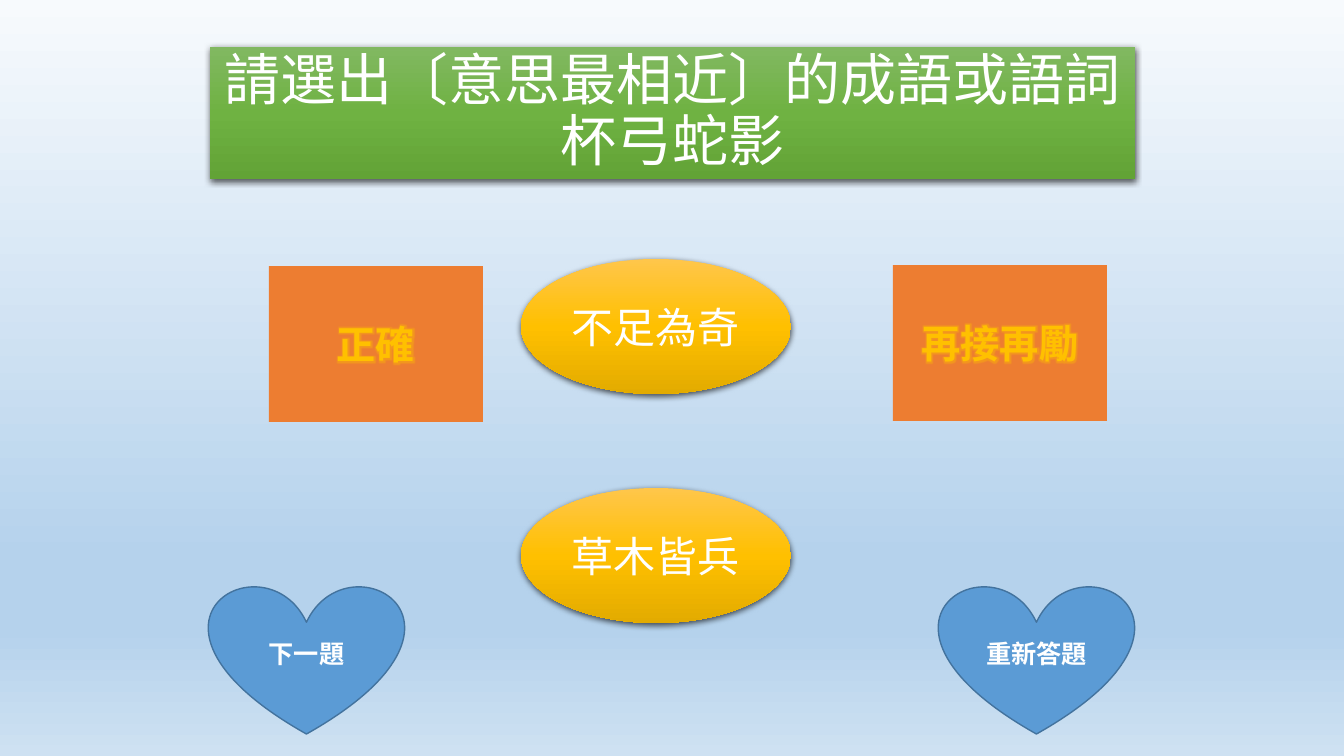
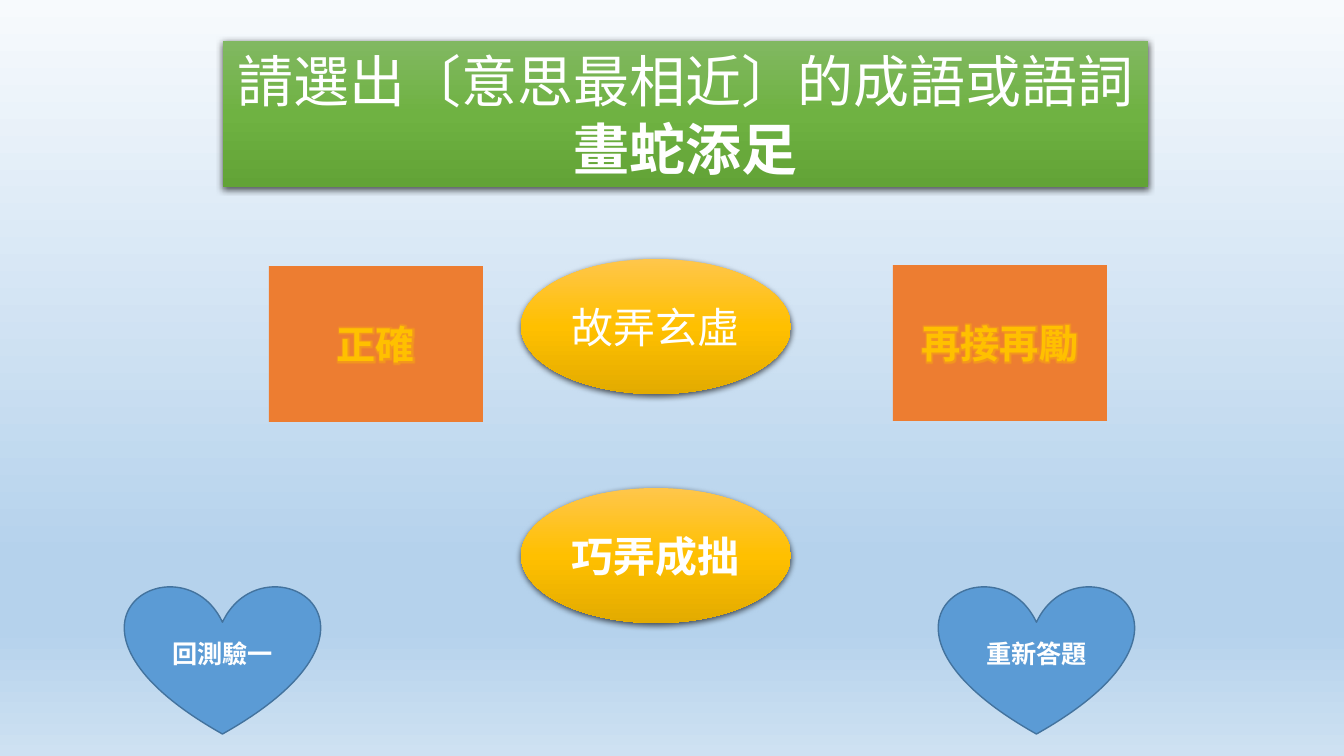
"""Build two idiom quiz slides."""
from pptx import Presentation
from pptx import util as u
from pptx.dml.color import RGBColor
from pptx.enum import shapes, text
from pptx.oxml import parse_xml
from pptx.oxml.ns import nsdecls, qn

PX = 914400 / 100.8
FONT = "Noto Sans CJK SC"
HUES = {"white": "FFFFFF", "orange": "ED7D31", "gold": "FFC000",
        "blue": "5B9BD5", "edge": "43739E", "purple": "7030A0"}
FADES = {
    "sky": [(0, "F7FAFD"), (74, "B5D2EC"), (83, "B5D2EC"), (100, "CEE1F2")],
    "green": [(0, "81B861"), (50, "6FB242"), (100, "62A336")],
    "amber": [(0, "FFC64B"), (50, "FFC000"), (100, "E3AB00")],
}
NS = nsdecls("a")
SHADE = (f'<a:outerShdw {NS} blurRad="57150" dist="19050" dir="5400000" algn="ctr" '
         'rotWithShape="0"><a:srgbClr val="000000"><a:alpha val="63000"/>'
         '</a:srgbClr></a:outerShdw>')
RIM = (f'<a:ln {NS} w="9525"><a:solidFill><a:srgbClr val="{HUES["purple"]}"/>'
       '</a:solidFill></a:ln>')
GLOW = (f'<a:effectLst {NS}><a:glow rad="63500"><a:srgbClr val="{HUES["gold"]}">'
        '<a:alpha val="40000"/></a:srgbClr></a:glow></a:effectLst>')
KIND = shapes.MSO_SHAPE


def blend(fill, node, name):
    fill.gradient()
    fill.gradient_angle = 270
    stops = node.find(".//" + qn("a:gsLst"))
    for old in list(stops):
        stops.remove(old)
    for pos, hue in FADES[name]:
        stops.append(parse_xml(f'<a:gs {NS} pos="{pos * 1000}">'
                               f'<a:srgbClr val="{hue}"/></a:gs>'))


def add(slide, kind, place, lines, size, fill, bold=(), hue="white"):
    shape = slide.shapes.add_shape(kind, *(round(n * PX) for n in place))
    shape.shadow.inherit = False
    shape.line.fill.background()
    if fill in FADES:
        blend(shape.fill, shape.element, fill)
        shape.element.spPr.find(qn("a:effectLst")).append(parse_xml(SHADE))
    else:
        shape.fill.solid()
        shape.fill.fore_color.rgb = RGBColor.from_string(HUES[fill])
    frame = shape.text_frame
    frame.text = lines
    frame.vertical_anchor = text.MSO_ANCHOR.MIDDLE
    for row, para in enumerate(frame.paragraphs):
        para.alignment = text.PP_ALIGN.CENTER
        for run in para.runs:
            font = run.font
            font.size = u.Pt(size)
            font.bold = row in bold
            font.color.rgb = RGBColor.from_string(HUES[hue])
            font.name = FONT
            run._r.get_or_add_rPr().append(
                parse_xml(f'<a:ea {NS} typeface="{FONT}"/>'))
    return shape


deck = Presentation()
deck.slide_width, deck.slide_height = round(1344 * PX), round(756 * PX)

QUIZ = [
    {"idiom": "杯弓蛇影", "bar": (210, 47, 925, 132), "space": 0.9, "heavy": (),
     "picks": [("不足為奇", ()), ("草木皆兵", ())], "next": ("下一題", 209)},
    {"idiom": "畫蛇添足", "bar": (223, 41, 925, 146), "space": 1.0, "heavy": (1,),
     "picks": [("故弄玄虛", ()), ("巧弄成拙", (0,))], "next": ("回測驗一", 125)},
]

for quiz in QUIZ:
    slide = deck.slides.add_slide(deck.slide_layouts[6])
    blend(slide.background.fill, slide.element, "sky")

    for word, left, top in (("正確", 269, 266), ("再接再勵", 893, 265)):
        card = add(slide, KIND.RECTANGLE, (left, top, 214, 156), word, 28,
                   "orange", (0,), "gold")
        props = card.text_frame.paragraphs[0].runs[0]._r.get_or_add_rPr()
        props.insert(0, parse_xml(RIM))
        props.insert(2, parse_xml(GLOW))

    for row, (word, bold) in enumerate(quiz["picks"]):
        add(slide, KIND.OVAL, (521, 259 + 229 * row, 270, 135), word, 30,
            "amber", bold)

    for word, left in (("重新答題", 939), quiz["next"]):
        heart = add(slide, KIND.HEART, (left, 585, 195, 149), word, 18,
                    "blue", (0,))
        heart.line.color.rgb = RGBColor.from_string(HUES["edge"])
        heart.line.width = u.Pt(1)

    title = add(slide, KIND.RECTANGLE, quiz["bar"],
                "請選出〔意思最相近〕的成語或語詞\n" + quiz["idiom"], 40,
                "green", quiz["heavy"])
    title.text_frame.word_wrap = False
    title.text_frame.auto_size = text.MSO_AUTO_SIZE.SHAPE_TO_FIT_TEXT
    for para in title.text_frame.paragraphs:
        para.line_spacing = quiz["space"]

deck.save("out.pptx")
